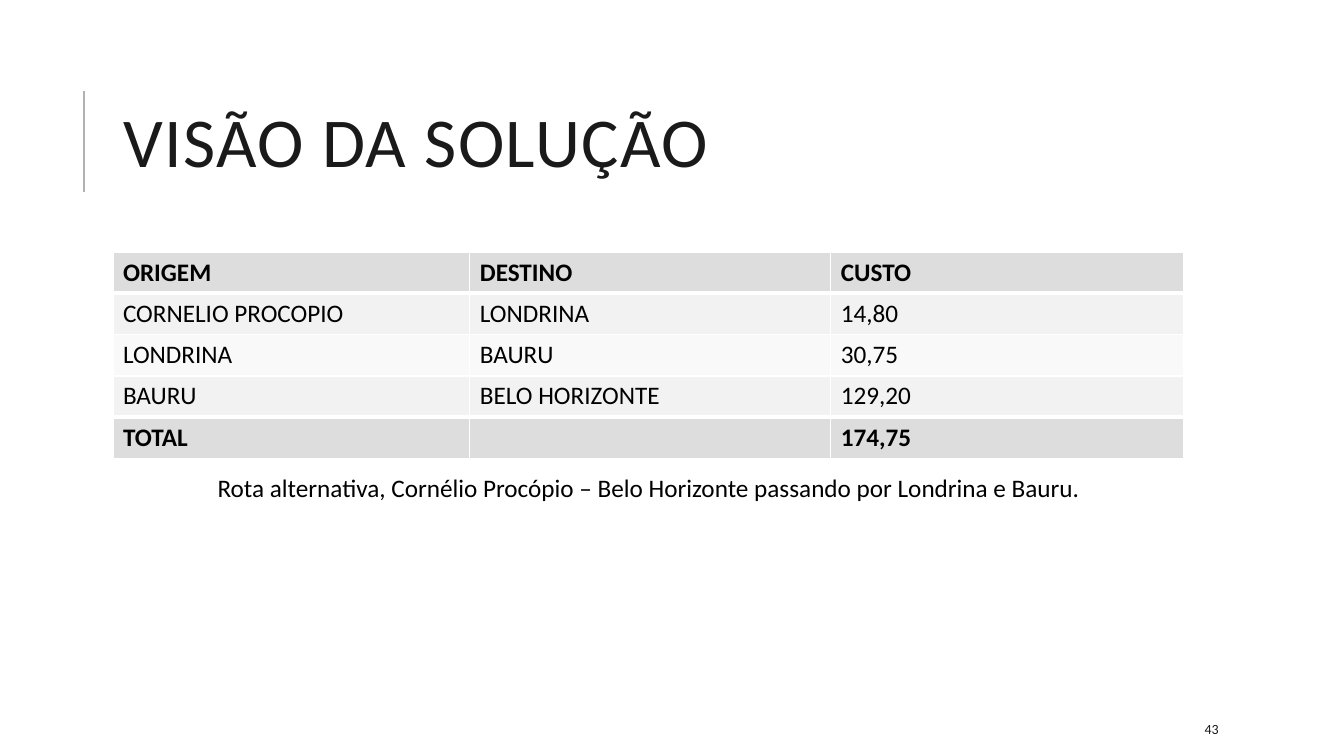
from dataclasses import dataclass

from lxml import etree
from pptx import Presentation
from pptx.dml.color import RGBColor
from pptx.enum.shapes import MSO_CONNECTOR
from pptx.enum.text import MSO_ANCHOR, MSO_AUTO_SIZE, PP_ALIGN
from pptx.oxml.ns import qn
from pptx.util import Inches, Pt

LINE = MSO_CONNECTOR.STRAIGHT
MIDDLE, TOP = MSO_ANCHOR.MIDDLE, MSO_ANCHOR.TOP
LEFT, CENTER = PP_ALIGN.LEFT, PP_ALIGN.CENTER
FIXED = MSO_AUTO_SIZE.NONE


@dataclass(frozen=True)
class Theme:
    font: str = "Calibri"
    ink: str = "1A1A1A"
    black: str = "000000"
    rule: str = "B2B2B2"
    edge: str = "FFFFFF"
    strong: str = "DDDDDD"
    bands: tuple = ("F2F2F2", "F9F9F9")
    head: int = 50
    body: int = 18
    small: int = 10
    thin: int = 1
    thick: int = 3


THEME = Theme()
X, W = 1.12, 10.63
COLS = (3.54, 3.58, 3.5)
ROW = 0.41
ROUTES = (
    ("ORIGEM", "DESTINO", "CUSTO"),
    ("CORNELIO PROCOPIO", "LONDRINA", "14,80"),
    ("LONDRINA", "BAURU", "30,75"),
    ("BAURU", "BELO HORIZONTE", "129,20"),
    ("TOTAL", "", "174,75"),
)
NOTE = ("Rota alternativa, Cornélio Procópio – Belo Horizonte "
        "passando por Londrina e Bauru.")


def assign(item, values):
    for name, value in values.items():
        setattr(item, name, value)


def write(frame, text, size, color, bold=False, align=LEFT):
    """Fill a text frame with one formatted paragraph."""
    para = frame.paragraphs[0]
    para.alignment = align
    run = para.add_run()
    run.text = text
    assign(run.font, {"name": THEME.font, "size": Pt(size), "bold": bold})
    run.font.color.rgb = RGBColor.from_string(color)
    return para, run


def place(shape, left, top, width, height):
    assign(shape, {"left": Inches(left), "top": Inches(top),
                   "width": Inches(width), "height": Inches(height)})


def add_title(slide, text):
    title = slide.shapes.title
    place(title, X, 0.64, W, 1.64)
    assign(title.text_frame, {"word_wrap": True, "auto_size": FIXED,
                              "vertical_anchor": MIDDLE})
    para, run = write(title.text_frame, text, THEME.head, THEME.ink)
    para.line_spacing = 0.8
    run.font._element.set("spc", "100")


def add_rule(slide, x, top, end):
    rule = slide.shapes.add_connector(
        LINE, Inches(x), Inches(end), Inches(x), Inches(top))
    rule.line.width = Pt(1.5)
    rule.line.color.rgb = RGBColor.from_string(THEME.rule)
    etree.SubElement(rule._element.spPr, qn("a:effectLst"))


def add_text(slide, box, text, size, color, align=LEFT, anchor=TOP):
    shape = slide.shapes.add_textbox(*map(Inches, box))
    assign(shape.text_frame, {"word_wrap": True, "vertical_anchor": anchor})
    write(shape.text_frame, text, size, color, align=align)


def add_edges(cell, top, base):
    """Draw the four cell borders; widths are in points."""
    props = cell._tc.get_or_add_tcPr()
    sides = {"lnL": THEME.thin, "lnR": THEME.thin, "lnT": top, "lnB": base}
    for side, width in sides.items():
        line = etree.SubElement(props, qn(f"a:{side}"), w=str(Pt(width)))
        fill = etree.SubElement(line, qn("a:solidFill"))
        etree.SubElement(fill, qn("a:srgbClr"), val=THEME.edge)


def add_grid(slide, rows):
    last = len(rows) - 1
    table = slide.shapes.add_table(
        len(rows), len(COLS), Inches(X), Inches(2.5),
        Inches(W), Inches(ROW * len(rows))).table
    for col, width in zip(table.columns, COLS):
        col.width = Inches(width)
    for i, row in enumerate(rows):
        table.rows[i].height = Inches(ROW)
        strong = i in (0, last)
        shade = THEME.strong if strong else THEME.bands[(i - 1) % 2]
        # Thick edges part the header and the total from the routes
        top = THEME.thick if i in (1, last) else THEME.thin
        base = THEME.thick if i in (0, last - 1) else THEME.thin
        for j, text in enumerate(row):
            cell = table.cell(i, j)
            add_edges(cell, top, base)
            cell.fill.solid()
            cell.fill.fore_color.rgb = RGBColor.from_string(shade)
            if text:
                write(cell.text_frame, text, THEME.body, THEME.black, strong)


def main():
    deck = Presentation()
    assign(deck, {"slide_width": Inches(13.33), "slide_height": Inches(7.5)})
    slide = deck.slides.add_slide(deck.slide_layouts[5])

    # Heading
    add_rule(slide, 0.83, 0.9, 1.9)
    add_title(slide, "VISÃO DA SOLUÇÃO")

    # Route costs and their caption
    add_grid(slide, ROUTES)
    add_text(slide, (X, 4.64, W, 0.4), NOTE, THEME.body, THEME.black, CENTER)

    # Page number
    add_text(slide, (11.85, 7.08, 1.06, 0.3), "43", THEME.small, THEME.ink,
             anchor=MIDDLE)
    deck.save("out.pptx")


if __name__ == "__main__":
    main()
